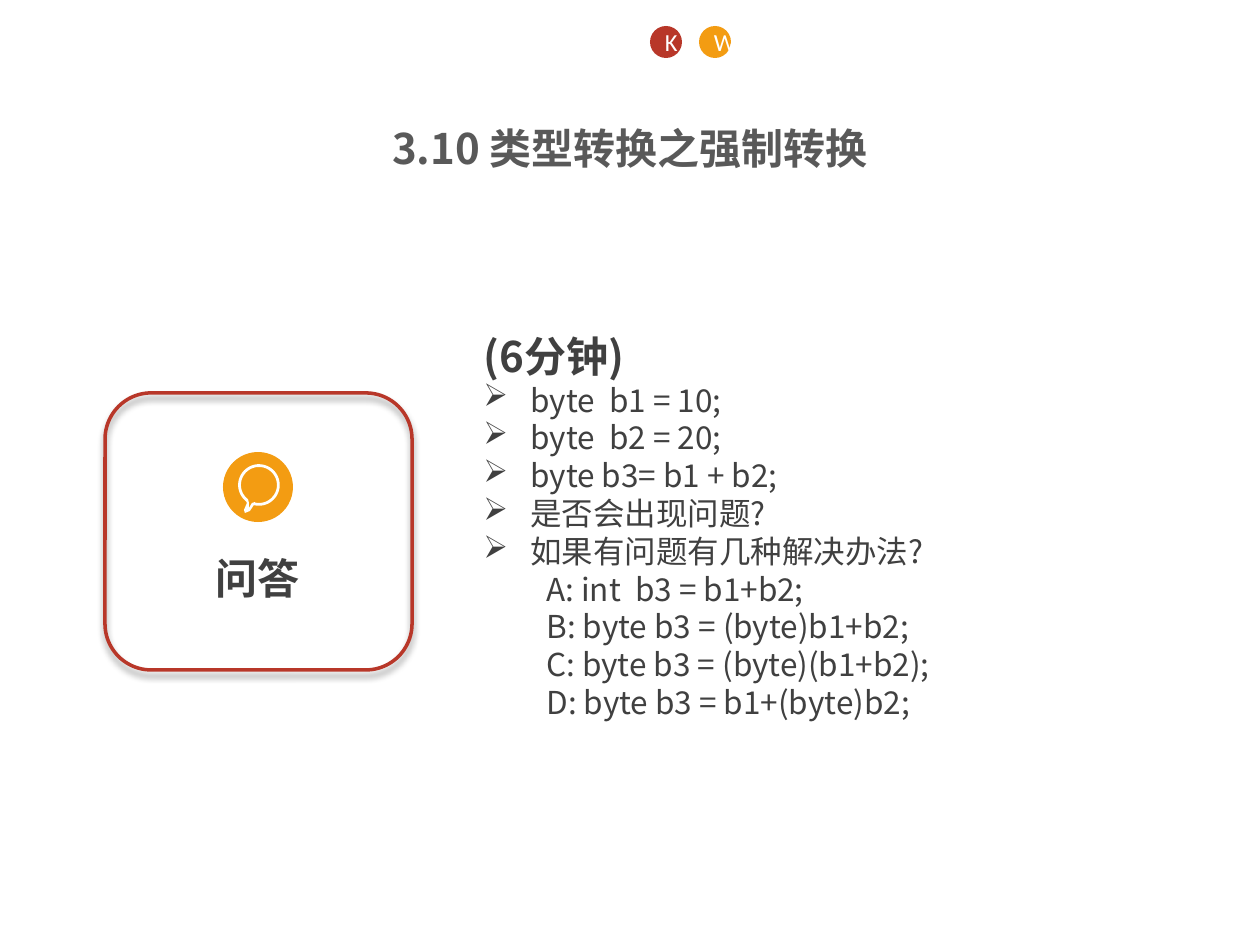
import math
from dataclasses import dataclass

from lxml import etree
from pptx import Presentation
from pptx import util as u
from pptx.dml import color
from pptx.enum import shapes, text
from pptx.oxml import ns

SCALE = 914400 // 126


@dataclass(frozen=True)
class Theme:
    """Colours, fonts and type sizes of the slide."""
    red: str = "B83729"
    orange: str = "F39C12"
    white: str = "FFFFFF"
    dark: str = "404040"
    grey: str = "595959"
    cjk: str = "Noto Sans CJK SC"
    latin: str = "Calibri"
    heading: int = 24
    body: int = 18
    badge: int = 14


THEME = Theme()
HEADING = {"size": u.Pt(THEME.heading), "bold": True, "name": THEME.cjk}
BODY = {"size": u.Pt(THEME.body), "bold": False, "name": THEME.cjk}
BADGE = {"size": u.Pt(THEME.badge), "name": THEME.latin}


def px(*lengths):
    """Turn pixel lengths into EMU."""
    return [u.Emu(round(length * SCALE)) for length in lengths]


def rgb(value):
    """Return a colour from its hex value."""
    return color.RGBColor.from_string(value)


def add_xml(parent, tag, **values):
    """Append a drawing element with attributes to a parent."""
    child = etree.SubElement(parent, ns.qn(tag))
    for key, value in values.items():
        child.set(key, str(value))
    return child


def write(para, words, font, ink, **layout):
    """Put one styled run into a paragraph."""
    for key, value in layout.items():
        setattr(para, key, value)
    span = para.add_run()
    span.text = words
    for key, value in font.items():
        setattr(span.font, key, value)
    span.font.color.rgb = rgb(ink)
    add_xml(span.font._element, "a:ea", typeface=font["name"])


def text_frame(parent, box):
    """Add a wrapping text box and return its frame."""
    frame = parent.add_textbox(*px(*box)).text_frame
    frame.word_wrap = True
    return frame


def paint(shape, fill):
    """Give a shape a plain fill without line or shadow."""
    shape.shadow.inherit = False
    shape.fill.solid()
    shape.fill.fore_color.rgb = rgb(fill)
    shape.line.fill.background()
    return shape


def disc(parent, box, fill):
    """Add a plain filled circle."""
    return paint(parent.add_shape(shapes.MSO_SHAPE.OVAL, *px(*box)), fill)


def badges(page, left, top, size, pitch):
    """Place the row of lettered circles."""
    for index, (letter, fill) in enumerate((("K", THEME.red), ("W", THEME.orange))):
        frame = disc(page.shapes, (left + index * pitch, top, size, size), fill).text_frame
        frame.vertical_anchor = text.MSO_ANCHOR.MIDDLE
        write(frame.paragraphs[0], letter, BADGE, THEME.white,
              alignment=text.PP_ALIGN.CENTER)


def title(page, box):
    """Place the centred slide title."""
    frame = text_frame(page.shapes, box)
    write(frame.paragraphs[0], "3.10 类型转换之强制转换", HEADING, THEME.grey,
          alignment=text.PP_ALIGN.CENTER)


def bubble(parent, x, y):
    """Draw a speech bubble outline centred on a point."""
    tails = ((20.8, [(-5, 20), (-9, 26), (-14, 28), (-15, 25), (-12, 18)]),
             (18, [(-4, 17), (-7, 18), (-10, 23), (-10, 18), (-11, 14)]))
    builder = None
    for radius, tail in tails:
        arc = [(radius * math.cos(math.radians(angle)),
                radius * math.sin(math.radians(angle))) for angle in range(128, 465, 6)]
        points = [px(x + dx, y + dy) for dx, dy in arc + tail]
        if builder is None:
            builder = parent.build_freeform(*points[0])
        else:
            builder.move_to(*points[0])
        builder.add_line_segments(points[1:], close=True)
    paint(builder.convert_to_shape(), THEME.white)


def question_card(page, left, top, width, height):
    """Place the rounded card with its icon and label."""
    group = page.shapes.add_group_shape().shapes
    frame = group.add_shape(shapes.MSO_SHAPE.ROUNDED_RECTANGLE,
                            *px(left, top, width, height))
    frame.fill.background()
    frame.line.color.rgb = rgb(THEME.red)
    frame.line.width = u.Pt(2)
    frame.shadow.inherit = False
    effects = frame._element.spPr.find(ns.qn("a:effectLst"))
    shadow = add_xml(effects, "a:outerShdw", blurRad=u.Pt(4), dist=u.Pt(3),
                     dir=5400000, rotWithShape=0)
    add_xml(add_xml(shadow, "a:srgbClr", val="000000"), "a:alpha", val=40000)
    label = text_frame(group, (left + 98, top + 159, 111, 57))
    write(label.paragraphs[0], "问答", HEADING, THEME.dark, line_spacing=0.9,
          space_before=u.Pt(4.8), space_after=u.Pt(4.8))
    disc(group, (left + 118, top + 59, 70, 70), THEME.orange)
    bubble(group, left + 154, top + 92)


def exercise(page, box):
    """Place the timed exercise with its questions and options."""
    frame = text_frame(page.shapes, box)
    frame.auto_size = text.MSO_AUTO_SIZE.SHAPE_TO_FIT_TEXT
    write(frame.paragraphs[0], "(6分钟)", HEADING, THEME.dark)
    questions = ("byte  b1 = 10;", "byte  b2 = 20;", "byte b3= b1 + b2;",
                 "是否会出现问题?", "如果有问题有几种解决办法?")
    options = ("A: int  b3 = b1+b2;", "B: byte b3 = (byte)b1+b2;",
               "C: byte b3 = (byte)(b1+b2);", "D: byte b3 = b1+(byte)b2;")
    for words in questions:
        para = frame.add_paragraph()
        write(para, words, BODY, THEME.dark)
        props = para._p.get_or_add_pPr()
        indent = px(47)[0]
        props.set("marL", str(indent))
        props.set("indent", str(-indent))
        add_xml(props, "a:buChar", char="➢")
    for words in options:
        para = frame.add_paragraph()
        write(para, words, BODY, THEME.dark, level=1)
        para._p.get_or_add_pPr().set("marL", str(px(63)[0]))


def main():
    """Build and save the slide."""
    deck = Presentation()
    deck.slide_width, deck.slide_height = px(1260, 945)
    page = deck.slides.add_slide(deck.slide_layouts[6])
    exercise(page, (471, 324, 824, 407))
    title(page, (0, 116, 1260, 59))
    question_card(page, 105, 393, 307, 277)
    badges(page, 650, 26, 32, 49)
    deck.save("out.pptx")


main()
